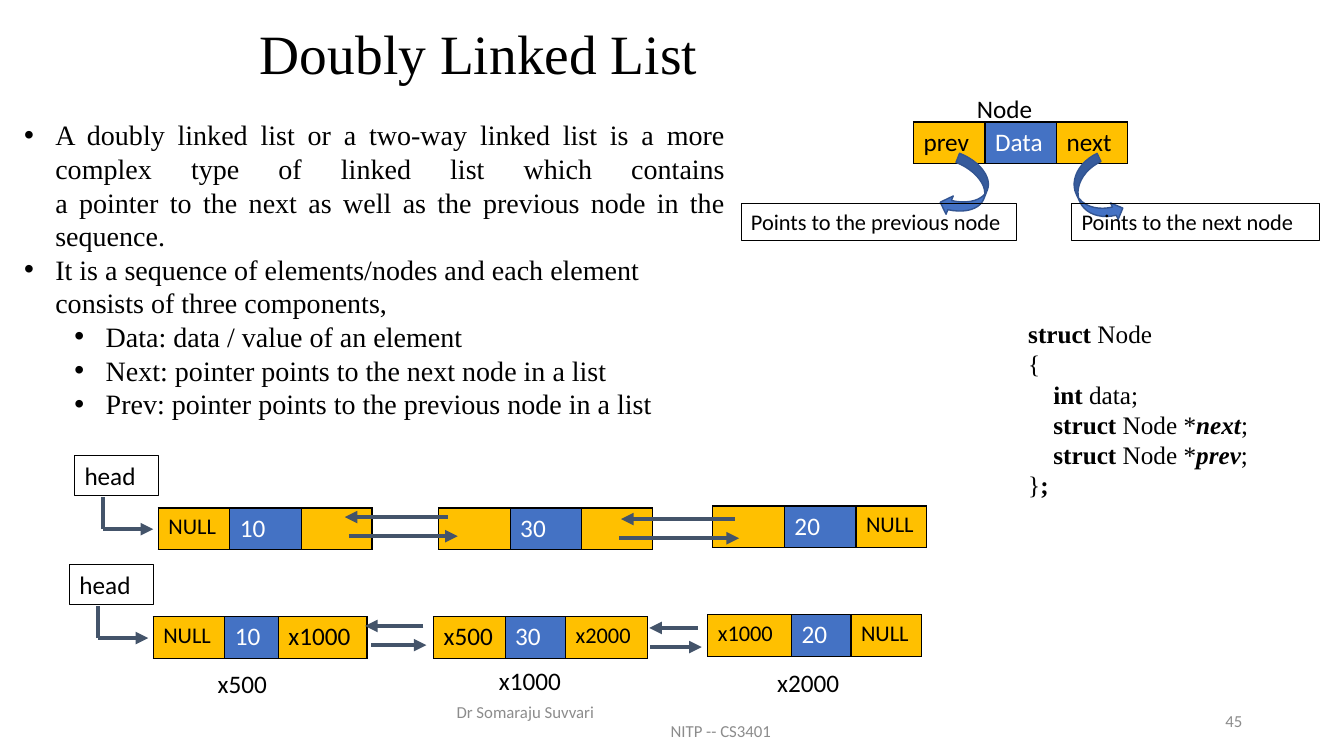
import pptx
import pptx.util
import pptx.dml.color
import pptx.enum.shapes
import pptx.enum.text
import pptx.oxml
import pptx.oxml.ns
import lxml.etree

Inches, Pt = pptx.util.Inches, pptx.util.Pt
RGBColor = pptx.dml.color.RGBColor
KIND = pptx.enum.shapes.MSO_SHAPE
ALIGN = pptx.enum.text.PP_ALIGN
MID = pptx.enum.text.MSO_ANCHOR.MIDDLE
BLACK = RGBColor(0, 0, 0)
WHITE = RGBColor(255, 255, 255)
GOLD = RGBColor(0xFF, 0xC0, 0x00)
BLUE = RGBColor(0x44, 0x72, 0xC4)
NAVY = RGBColor(0x32, 0x54, 0x91)
SLATE = RGBColor(0x44, 0x54, 0x6A)
GRAY = RGBColor(0x8C, 0x8C, 0x8C)
SANS, SERIF = "Calibri", "Times New Roman"

# text, left margin, alignment
POINTS = [
    ("A doubly linked list or a two-way linked list is a more complex type of "
     "linked list which contains\va pointer to the next as well as the previous "
     "node in the sequence.", 0.31, ALIGN.JUSTIFY),
    ("It is a sequence of elements/nodes and each element consists of three "
     "components,", 0.31, ALIGN.LEFT),
    ("Data: data / value of an element", 0.81, ALIGN.LEFT),
    ("Next: pointer points to the next node in a list", 0.81, ALIGN.LEFT),
    ("Prev: pointer points to the previous node in a list", 0.81, ALIGN.LEFT),
]
# left margin, runs of (text, style)
CODE = [
    (0, [("struct", "b"), (" Node", "")]),
    (0, [("{", "")]),
    (0.25, [("int", "b"), (" data;", "")]),
    (0.25, [("struct", "b"), (" Node *", ""), ("next", "bi"), (";", "")]),
    (0.25, [("struct", "b"), (" Node *", ""), ("prev", "bi"), (";", "")]),
    (0, [("}", ""), (";", "b")]),
]
EVEN = (0.71, 0.71, 0.7)
# cells of (text, size), column widths
LISTS = [
    {"left": 0.69 + 0.05, "top": 4.52,
     "nodes": [([("NULL", 16), ("10", 18), ("", 18)], EVEN),
               ([("", 18), ("30", 18), ("", 18)], EVEN),
               ([("", 18), ("20", 18), ("NULL", 16)], EVEN)],
     "links": [(3.46, 4.54, 4.44, 3.42), (6.14, 7.33, 7.29, 6.16)]},
    {"left": 0.69, "top": 5.6,
     "nodes": [([("NULL", 16), ("10", 18), ("x1000", 18)], (0.71, 0.53, 0.88)),
               ([("x500", 18), ("30", 18), ("x2000", 16)], (0.71, 0.6, 0.81)),
               ([("x1000", 16), ("20", 18), ("NULL", 16)], (0.83, 0.59, 0.7))],
     "links": [(3.68, 4.23, 4.2, 3.62), (6.45, 6.96, 6.92, 6.44)]},
]
NODES = [(0.83, 0.52), (3.61, 0.52), (6.33, 0.5)]  # offsets from the head box
LABELS = [
    ("Node", 9.59, 0.88, 1.03),
    ("x500", 2.06, 6.58, 0.85),
    ("x1000", 4.85, 6.55, 0.85),
    ("x2000", 7.61, 6.57, 0.85),
]
FRAMES = [
    ("Points to the next node", 10.63, 2.02, 2.46, 0.37, 16),
    ("Points to the previous node", 7.35, 2.02, 2.73, 0.37, 16),
] + [("head", row["left"], row["top"], 0.83, 0.4, 18) for row in LISTS]
CURVES = [
    (KIND.CURVED_UP_ARROW, 10.52, 1.73, 0.69, 0.36, 64.8),
    (KIND.CURVED_LEFT_ARROW, 9.39, 1.57, 0.39, 0.62, 21.6),
]
FOOTER = [
    ("Dr Somaraju Suvvari", 4.43, 6.86, 2, ALIGN.LEFT),
    ("NITP -- CS3401", 6.15, 7.05, 2, ALIGN.CENTER),
    ("45", 9.42, 6.95, 3, ALIGN.RIGHT),
]

deck = pptx.Presentation()
deck.slide_width, deck.slide_height = Inches(13.33), Inches(7.5)
slide = deck.slides.add_slide(deck.slide_layouts[6])
shapes = slide.shapes


def style(par, size, face=SANS, color=BLACK, align=ALIGN.LEFT):
    """Format every run of a paragraph."""
    par.alignment = align
    for run in par.runs:
        run.font.size, run.font.name = Pt(size), face
        run.font.color.rgb = color


def box(left, top, width, height):
    """Add a wrapping text box and return its frame."""
    frame = shapes.add_textbox(*map(Inches, (left, top, width, height))).text_frame
    frame.word_wrap = True
    return frame


def indent(par, left, hang=0):
    """Set the left margin, with a bullet where the line hangs."""
    props = par._p.get_or_add_pPr()
    props.set("marL", str(Inches(left)))
    props.set("indent", str(-Inches(hang)))
    if hang:
        for tag, key, value in (("a:buFont", "typeface", "Arial"),
                                ("a:buChar", "char", "\u2022")):
            part = lxml.etree.SubElement(props, pptx.oxml.ns.qn(tag))
            part.set(key, value)


def preset(kind, left, top, width, height):
    """Add a preset shape without shadow."""
    shape = shapes.add_shape(kind, *map(Inches, (left, top, width, height)))
    shape.shadow.inherit = False
    return shape


def node(left, top, cells, widths):
    """Draw one list node as a table of three cells."""
    place = map(Inches, (left, top, sum(widths), 0.41))
    table = shapes.add_table(1, 3, *place).table
    table.first_row = table.horz_banding = False
    for col, ((text, size), width) in enumerate(zip(cells, widths)):
        table.columns[col].width = Inches(width)
        cell = table.cell(0, col)
        cell.text_frame.text = text
        style(cell.text_frame.paragraphs[0], size, SANS, WHITE if col == 1 else BLACK)
        props = cell._tc.get_or_add_tcPr()
        for side in "LRTB":
            props.append(pptx.oxml.parse_xml(
                f'<a:ln{side} {pptx.oxml.ns.nsdecls("a")} w="12700"><a:solidFill>'
                f'<a:srgbClr val="{BLACK}"/></a:solidFill></a:ln{side}>'))
        cell.fill.solid()
        cell.fill.fore_color.rgb = BLUE if col == 1 else GOLD


def link(start, end, tip=True):
    """Draw a straight line, with an arrowhead at its end if tip is set."""
    line = shapes.add_connector(pptx.enum.shapes.MSO_CONNECTOR.STRAIGHT,
                                *map(Inches, start + end))
    line.line.color.rgb, line.line.width = SLATE, Pt(3)
    props = line._element.spPr
    if tip:
        head = lxml.etree.SubElement(props.find(pptx.oxml.ns.qn("a:ln")),
                                     pptx.oxml.ns.qn("a:tailEnd"))
        head.set("type", "triangle")
    lxml.etree.SubElement(props, pptx.oxml.ns.qn("a:effectLst"))


title = box(2.48, 0.14, 4.96, 0.85)
title.text, title.vertical_anchor = "Doubly Linked List", MID
style(title.paragraphs[0], 39.6, SERIF)
title.paragraphs[0].line_spacing = 0.9

node(9.06, 1.21, [("prev", 18), ("Data", 18), ("next", 18)], EVEN)
for kind, left, top, width, height, turn in CURVES:
    curve = preset(kind, left, top, width, height)
    curve.rotation = turn
    curve.fill.solid()
    curve.fill.fore_color.rgb = BLUE
    curve.line.color.rgb, curve.line.width = NAVY, Pt(1)

for text, left, top, width, height, size in FRAMES:
    shape = preset(KIND.RECTANGLE, left, top, width, height)
    shape.fill.background()
    shape.line.color.rgb, shape.line.width = BLACK, Pt(0.75)
    shape.text_frame.text = text
    shape.text_frame.vertical_anchor = pptx.enum.text.MSO_ANCHOR.TOP
    style(shape.text_frame.paragraphs[0], size)

for text, left, top, width in LABELS:
    label = box(left, top, width, 0.4)
    label.text = text
    style(label.paragraphs[0], 18)

body = box(0.14, 1.12, 7.15, 3.43)
body.text = "\n".join(text for text, _, _ in POINTS)
for par, (_, left, align) in zip(body.paragraphs, POINTS):
    style(par, 20, SERIF, align=align)
    indent(par, left, 0.31)

for row in LISTS:
    left, top = row["left"], row["top"]
    for (dx, dy), (cells, widths) in zip(NODES, row["nodes"]):
        node(left + dx, top + dy, cells, widths)
    bend = (left + 0.28, top + 0.73)
    link(bend, (left + 0.78, top + 0.73))
    link(bend, (left + 0.28, top + 0.41), False)
    for step, (out, to, back, home) in enumerate(row["links"]):
        high = top + 0.61 + 0.02 * step
        link((out, high + 0.19), (to, high + 0.19))
        link((back, high), (home, high))

code = box(10.1, 3.11, 2.66, 1.92)
code.text = "\n".join("" for _ in CODE)
for par, (left, runs) in zip(code.paragraphs, CODE):
    for text, look in runs:
        run = par.add_run()
        run.text = text
        run.font.bold, run.font.italic = "b" in look, "i" in look
    style(par, 18, SERIF)
    indent(par, left)

for text, left, top, width, align in FOOTER:
    foot = box(left, top, width, 0.4)
    foot.text, foot.vertical_anchor = text, MID
    style(foot.paragraphs[0], 12, SANS, GRAY, align)

deck.save("out.pptx")
